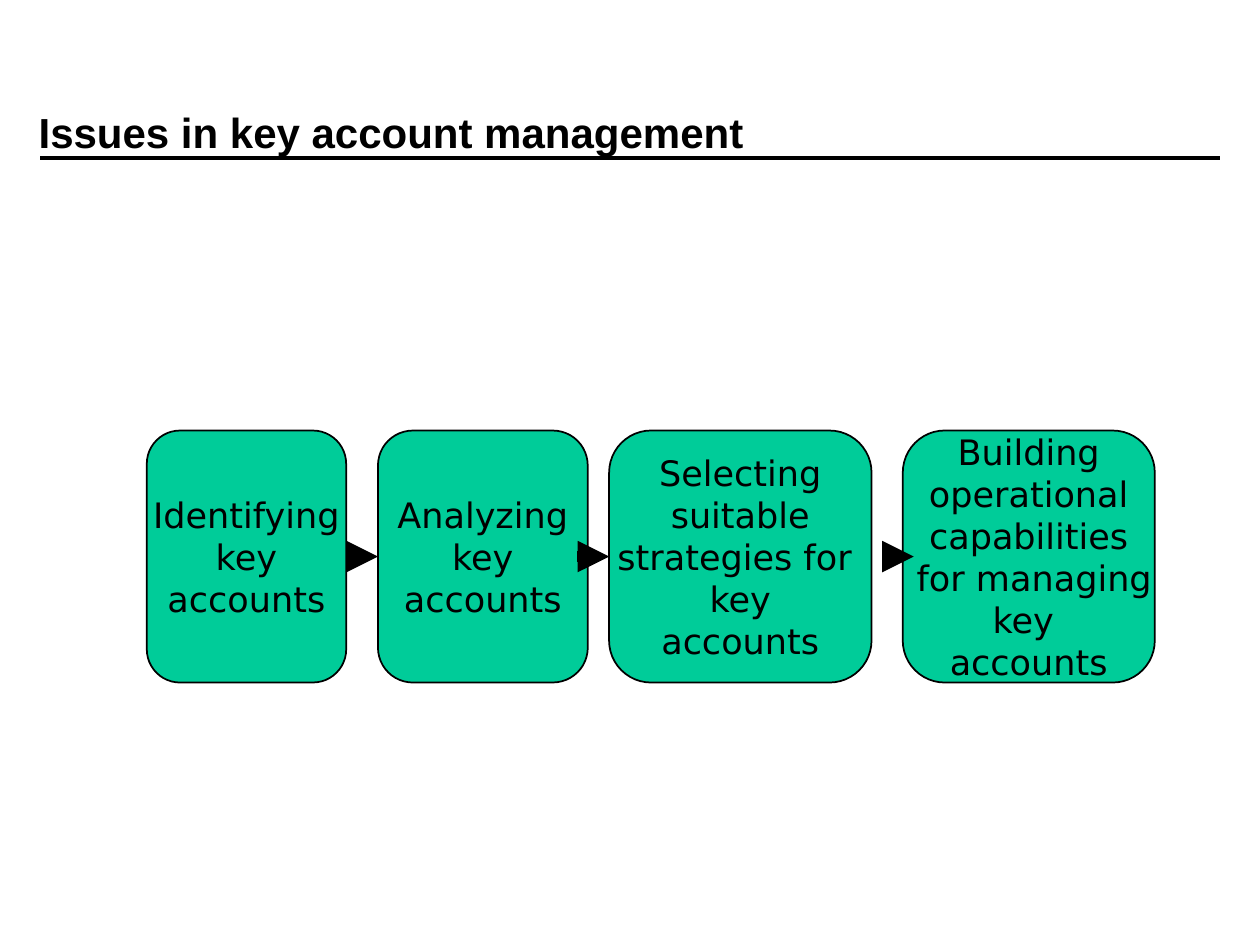
"""Build the slide on issues in key account management."""
from lxml import etree
from pptx import Presentation
from pptx import util as u
from pptx.dml.color import RGBColor
from pptx.enum import shapes, text
from pptx.oxml import ns

BLACK = RGBColor(0x00, 0x00, 0x00)
GREEN = RGBColor(0x00, 0xCC, 0x99)

BOX_TOP, BOX_HEIGHT = 8.68, 5.08
ARROW_Y = BOX_TOP + BOX_HEIGHT / 2
ARROW_LENGTH = 0.64

STEPS = [
    (2.96, 4.02, ["Identifying", " key ", "accounts"]),
    (7.62, 4.23, ["Analyzing", " key ", "accounts"]),
    (12.28, 5.29, ["Selecting", "suitable", "strategies for ", " key ", "accounts"]),
    (18.2, 5.08, ["Building", "operational", "capabilities", " for managing", "key ", "accounts"]),
]


class SlideBuilder:
    title_font, title_size = "Arial", 24
    body_font, body_size = "DejaVu Sans", 20

    def __init__(self, slide):
        self.slide = slide

    def add_lines(self, frame, lines, font, size, bold=False, align=text.PP_ALIGN.LEFT):
        frame.vertical_anchor = text.MSO_ANCHOR.MIDDLE
        for index, line in enumerate(lines):
            paragraph = frame.add_paragraph() if index else frame.paragraphs[0]
            paragraph.alignment = align
            run = paragraph.add_run()
            run.text = line
            run.font.name = font
            run.font.size = u.Pt(size)
            run.font.bold = bold
            run.font.color.rgb = BLACK

    def title(self, left, top, width, height, line):
        shape = self.slide.shapes.add_textbox(u.Cm(left), u.Cm(top), u.Cm(width), u.Cm(height))
        shape.text_frame.word_wrap = True
        self.add_lines(shape.text_frame, [line], self.title_font, self.title_size, bold=True)

    def box(self, left, width, lines):
        shape = self.slide.shapes.add_shape(
            shapes.MSO_SHAPE.ROUNDED_RECTANGLE,
            u.Cm(left), u.Cm(BOX_TOP), u.Cm(width), u.Cm(BOX_HEIGHT))
        shape.shadow.inherit = False
        shape.fill.solid()
        shape.fill.fore_color.rgb = GREEN
        shape.line.color.rgb = BLACK
        shape.line.width = u.Pt(1)
        shape.text_frame.word_wrap = False
        self.add_lines(shape.text_frame, lines, self.body_font, self.body_size,
                       align=text.PP_ALIGN.CENTER)
        return shape

    def line(self, start, end, y, width):
        connector = self.slide.shapes.add_connector(
            shapes.MSO_CONNECTOR.STRAIGHT, u.Cm(start), u.Cm(y), u.Cm(end), u.Cm(y))
        connector.line.color.rgb = BLACK
        connector.line.width = u.Pt(width)
        etree.SubElement(connector.element.spPr, ns.qn("a:effectLst"))
        return connector

    def arrow(self, start, source=None, target=None):
        connector = self.line(start, start + ARROW_LENGTH, ARROW_Y, 6)
        outline = connector.element.spPr.find(ns.qn("a:ln"))
        etree.SubElement(outline, ns.qn("a:tailEnd"), type="triangle")
        if source is not None:
            connector.begin_connect(source, 3)
        if target is not None:
            connector.end_connect(target, 1)


def main():
    presentation = Presentation()
    presentation.slide_width, presentation.slide_height = u.Cm(25.4), u.Cm(19.05)
    builder = SlideBuilder(presentation.slides.add_slide(presentation.slide_layouts[6]))

    builder.line(0.81, 24.59, 3.18, 2)
    builder.title(0.53, 1.06, 21.59, 3.18, "Issues in key account management")
    identifying, analyzing, selecting, _ = [builder.box(*step) for step in STEPS]
    builder.arrow(6.98, identifying, analyzing)
    builder.arrow(11.64, target=selecting)
    builder.arrow(17.78)

    presentation.save("out.pptx")


if __name__ == "__main__":
    main()
